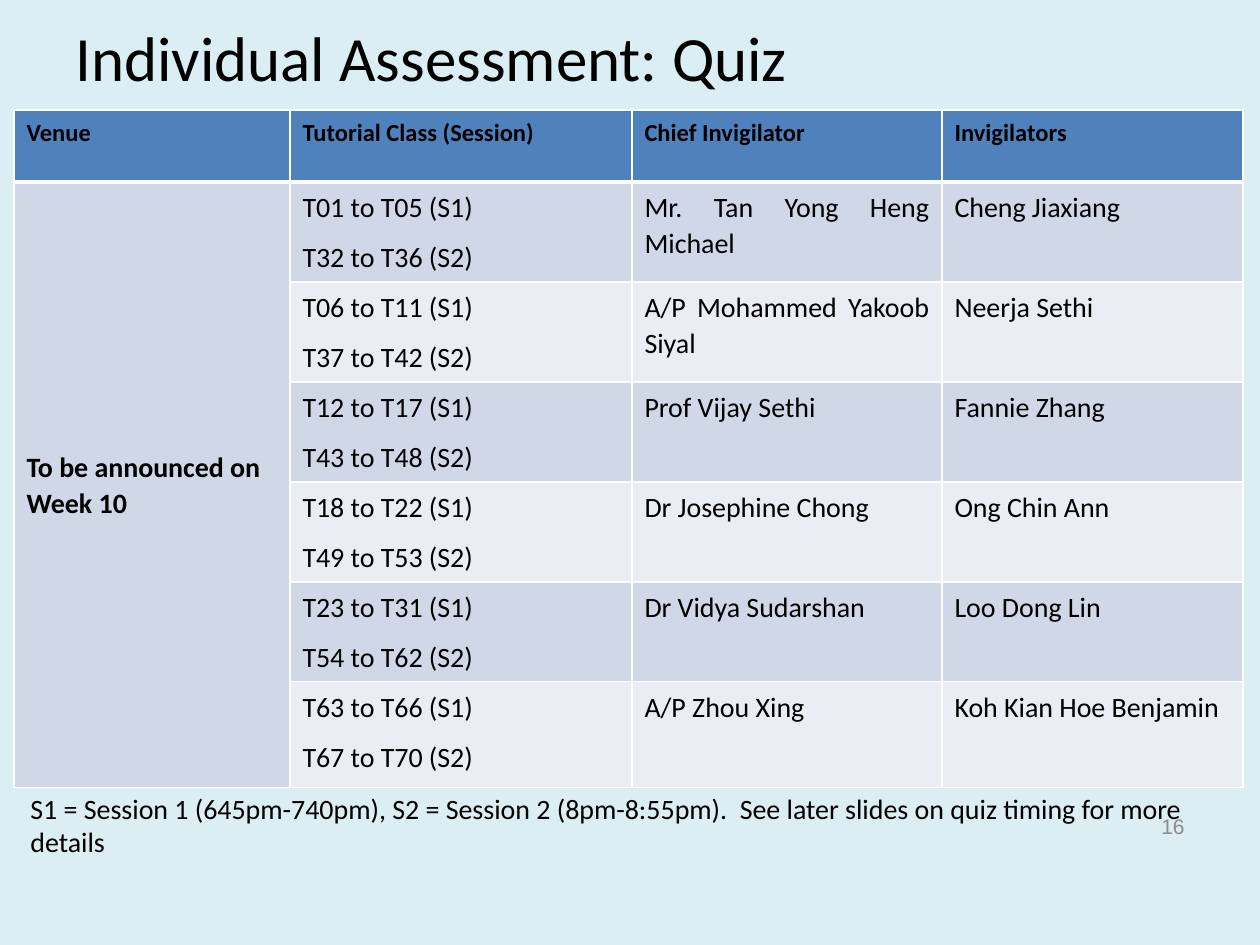
from lxml import etree
from pptx import Presentation
from pptx.dml.color import RGBColor
from pptx.enum.text import MSO_ANCHOR, PP_ALIGN
from pptx.oxml.ns import qn
from pptx.util import Pt

PX = 914400 // 126
LEFT, RIGHT, JUSTIFY = PP_ALIGN.LEFT, PP_ALIGN.RIGHT, PP_ALIGN.JUSTIFY
TOP, MIDDLE = MSO_ANCHOR.TOP, MSO_ANCHOR.MIDDLE
COLORS = {
    "background": "DBEEF4", "text": "000000", "number": "8C8C8C",
    "header": "4F81BD", "dark band": "D0D8E8", "light band": "E9EDF4",
    "border": "FFFFFF",
}


def add_text(box, text, size, font="Calibri", color="text", align=LEFT, anchor=TOP):
    x, y, w, h = [v * PX for v in box]
    tf = s.shapes.add_textbox(x, y, w, h).text_frame
    tf.word_wrap = True
    tf.vertical_anchor = anchor
    tf.text = text
    p = tf.paragraphs[0]
    p.alignment = align
    p.font.size = Pt(size)
    p.font.name = font
    p.font.color.rgb = RGBColor.from_string(COLORS[color])


def fill_cell(cell, lines, fill, size=16, bold=False, align=LEFT, bottom=1):
    # Borders come before the fill in the cell properties
    tc_pr = cell._tc.get_or_add_tcPr()
    for side, width in (("L", 1), ("R", 1), ("T", 1), ("B", bottom)):
        ln = etree.SubElement(tc_pr, qn(f"a:ln{side}"), w=str(Pt(width)))
        solid = etree.SubElement(ln, qn("a:solidFill"))
        etree.SubElement(solid, qn("a:srgbClr"), val=COLORS["border"])
    cell.fill.solid()
    cell.fill.fore_color.rgb = RGBColor.from_string(COLORS[fill])
    tf = cell.text_frame
    tf.text = "\n".join(lines)
    for p in tf.paragraphs:
        p.alignment = align
        p.line_spacing = 1.07
        p.space_after = Pt(8)
        for r in p.runs:
            r.font.size = Pt(size)
            r.font.name = "Calibri"
            r.font.bold = bold
            r.font.color.rgb = RGBColor.from_string(COLORS["text"])


prs = Presentation()
prs.slide_width, prs.slide_height = 1260 * PX, 945 * PX
s = prs.slides.add_slide(prs.slide_layouts[6])
s.background.fill.solid()
s.background.fill.fore_color.rgb = RGBColor.from_string(COLORS["background"])

# Title and slide number
add_text((63, 20, 1134, 73), "Individual Assessment: Quiz", 36, anchor=MIDDLE)
add_text((903, 801, 294, 50), "16", 12, "Arial", "number", RIGHT, MIDDLE)

# Invigilation table
headers = ["Venue", "Tutorial Class (Session)", "Chief Invigilator", "Invigilators"]
sessions = [
    ("T01 to T05 (S1)", "T32 to T36 (S2)", "Mr. Tan Yong Heng Michael", "Cheng Jiaxiang"),
    ("T06 to T11 (S1)", "T37 to T42 (S2)", "A/P Mohammed Yakoob Siyal", "Neerja Sethi"),
    ("T12 to T17 (S1)", "T43 to T48 (S2)", "Prof Vijay Sethi", "Fannie Zhang"),
    ("T18 to T22 (S1)", "T49 to T53 (S2)", "Dr Josephine Chong", "Ong Chin Ann"),
    ("T23 to T31 (S1)", "T54 to T62 (S2)", "Dr Vidya Sudarshan", "Loo Dong Lin"),
    ("T63 to T66 (S1)", "T67 to T70 (S2)", "A/P Zhou Xing", "Koh Kian Hoe Benjamin"),
]
col_widths = [276, 342, 310, 301]
row_heights = [72] + [100] * 5 + [106]
table = s.shapes.add_table(
    len(row_heights), len(col_widths), 14 * PX, 110 * PX,
    sum(col_widths) * PX, sum(row_heights) * PX).table
for col, width in zip(table.columns, col_widths):
    col.width = width * PX
for row, height in zip(table.rows, row_heights):
    row.height = height * PX

for c, header in enumerate(headers):
    fill_cell(table.cell(0, c), [header], "header", 14, True, bottom=3)

for i, (first, second, chief, invigilator) in enumerate(sessions, 1):
    band = "dark band" if i % 2 else "light band"
    fill_cell(table.cell(i, 1), [first, second], band, align=JUSTIFY)
    fill_cell(table.cell(i, 2), [chief], band, align=JUSTIFY)
    fill_cell(table.cell(i, 3), [invigilator], band)

# Venue spans all sessions
venue = table.cell(1, 0)
venue.merge(table.cell(len(sessions), 0))
fill_cell(venue, ["To be announced on Week 10"], "dark band", bold=True)
venue.vertical_anchor = MIDDLE

# Session note
add_text((18, 785, 1216, 81),
         "S1 = Session 1 (645pm-740pm), S2 = Session 2 (8pm-8:55pm).  "
         "See later slides on quiz timing for more details", 16)

prs.save("out.pptx")
